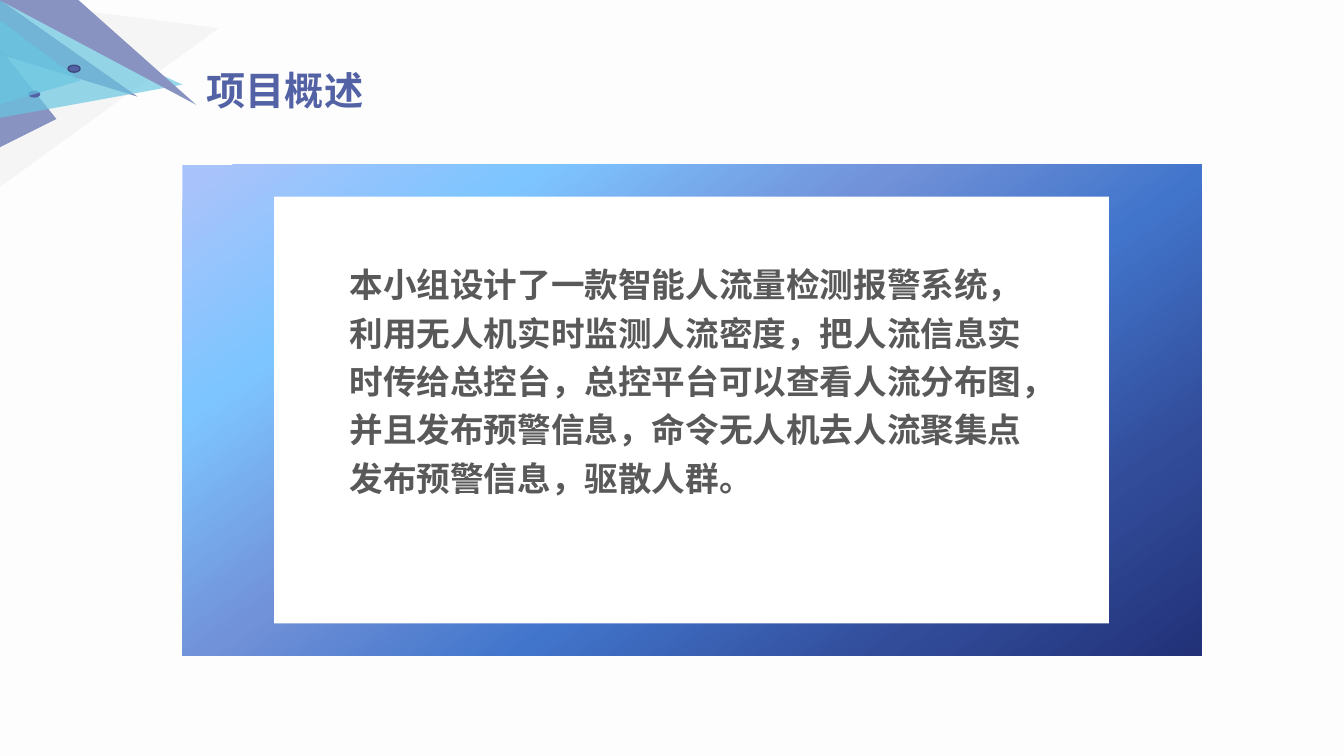
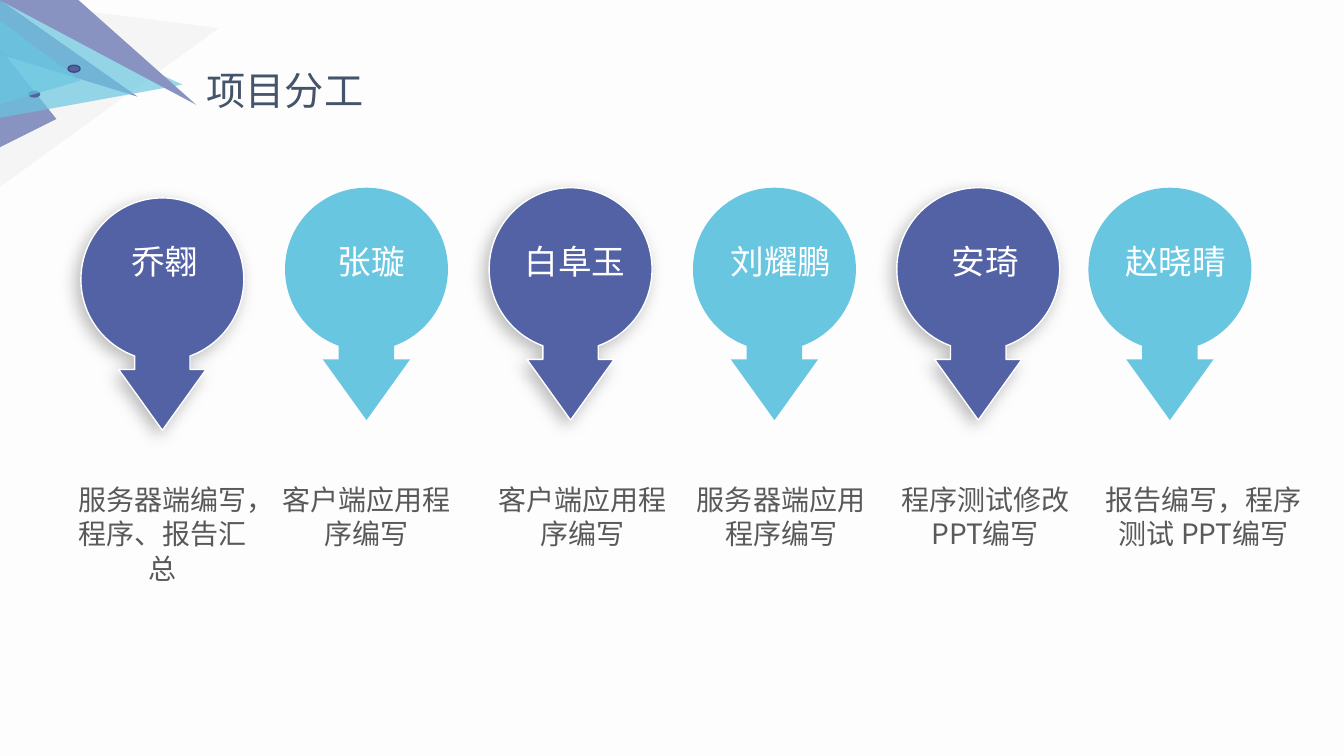
from dataclasses import dataclass
from math import acos, cos, degrees, radians, sin, tan
from typing import Sequence

from lxml.etree import Element, SubElement
from pptx import Presentation
from pptx.dml.color import RGBColor
from pptx.enum.shapes import MSO_SHAPE
from pptx.enum.text import MSO_ANCHOR, MSO_AUTO_SIZE, PP_ALIGN
from pptx.oxml import parse_xml
from pptx.oxml.ns import nsdecls, qn
from pptx.util import Pt

FONT = "Noto Sans CJK SC"
INDIGO, SKY, LAVENDER = "5362A5", "69C6E1", "8893C1"
WHITE, PALE, PAPER = "FFFFFF", "F2F2F2", "FDFDFD"
GREY, SLATE, NAVY = "595959", "44546A", "3D497A"
FRAME_STOPS = [(2, "A8C3FB"), (21, "7DC5FF"), (42, "7191D8"),
               (60, "4175CB"), (81, "324C9A"), (100, "223178")]

Point = tuple[float, float]


@dataclass(frozen=True)
class Box:
    left: float
    top: float
    width: float
    height: float

    def lengths(self) -> list[Pt]:
        return [Pt(value) for value in (self.left, self.top, self.width, self.height)]


@dataclass(frozen=True)
class TextStyle:
    size: float
    colour: str
    line: float
    align: PP_ALIGN = PP_ALIGN.LEFT
    bold: bool = False


@dataclass(frozen=True)
class Triangle:
    points: Sequence[Point]
    colour: str
    opacity: int = 100


@dataclass(frozen=True)
class Member:
    name: str
    duty: Sequence[str]
    pin_x: float
    name_x: float
    duty_left: float
    duty_width: float = 137.5
    duty_height: float = 55.4
    pin_y: float = 192.3


TITLE_BOX = Box(140.4, 43.9, 242.6, 41)
BODY_STYLE = TextStyle(24, GREY, 34.6, bold=True)
NAME_STYLE = TextStyle(24, WHITE, 29, PP_ALIGN.CENTER)
DUTY_STYLE = TextStyle(20, GREY, 24.4, PP_ALIGN.CENTER)

BACK_TRIANGLES = [
    Triangle([(-0.5, 133.9), (-0.5, 0), (156.2, 20.2)], PALE, 69),
    Triangle([(0, 105.1), (0, 34.6), (40.3, 85)], LAVENDER),
    Triangle([(0, 38.9), (0, 0), (98.4, 69.1)], INDIGO, 69),
    Triangle([(0, 84.2), (0, 0), (130.3, 60.5)], SKY, 69),
    Triangle([(56, 0), (-0.5, 0), (140.2, 74.9)], LAVENDER),
]
FRONT_TRIANGLE = Triangle([(0, 74.5), (0, 14.4), (57.6, 57.6)], SKY, 69)

MEMBERS = [
    Member("乔翱", ["服务器端编写，程序、报告汇总"], 116, 117.7, 47.2,
           duty_height=79.9, pin_y=199.6),
    Member("张璇", ["客户端应用程序编写"], 261.8, 265.3, 193),
    Member("白阜玉", ["客户端应用程序编写"], 407.6, 410.7, 347.4),
    Member("刘耀鹏", ["服务器端应用程序编写"], 553.2, 558, 489.2),
    Member("安琦", ["程序测试修改", "PPT编写"], 698.8, 703.8, 635),
    Member("赵晓晴", ["报告编写，程序测试 PPT编写"], 835.7, 839.9, 777.4, 164.9),
]


def colour_of(value: str) -> RGBColor:
    return RGBColor.from_string(value)


def paint(shape, fill: str, opacity: int = 100, line: str | None = None) -> None:
    shape.shadow.inherit = False
    shape.fill.solid()
    shape.fill.fore_color.rgb = colour_of(fill)
    if opacity < 100:
        colour = shape.fill._xPr.find(qn("a:solidFill"))[0]
        SubElement(colour, qn("a:alpha"), val=str(opacity * 1000))
    if line:
        shape.line.color.rgb = colour_of(line)
        shape.line.width = Pt(1)
    else:
        shape.line.fill.background()


def add_polygon(slide, points: Sequence[Point]):
    corners = [(Pt(x), Pt(y)) for x, y in points]
    builder = slide.shapes.build_freeform(*corners[0], scale=1.0)
    builder.add_line_segments(corners[1:], close=True)
    return builder.convert_to_shape()


def add_triangle(slide, triangle: Triangle) -> None:
    paint(add_polygon(slide, triangle.points), triangle.colour, triangle.opacity)


def add_block(slide, kind: MSO_SHAPE, box: Box, fill: str, line: str | None = None):
    shape = slide.shapes.add_shape(kind, *box.lengths())
    paint(shape, fill, line=line)
    return shape


def write(shape, lines: Sequence[str], style: TextStyle, wrap: bool = True) -> None:
    frame = shape.text_frame
    frame.word_wrap = wrap
    frame.auto_size = MSO_AUTO_SIZE.NONE
    frame.vertical_anchor = MSO_ANCHOR.TOP
    frame.text = "\n".join(lines)
    for paragraph in frame.paragraphs:
        paragraph.alignment = style.align
        paragraph.line_spacing = Pt(style.line)
        font = paragraph.font
        font.name, font.size, font.bold = FONT, Pt(style.size), style.bold
        font.color.rgb = colour_of(style.colour)
        for run in paragraph.runs:
            SubElement(run._r.get_or_add_rPr(), qn("a:ea"), typeface=FONT)


def add_text(slide, box: Box, lines: Sequence[str], style: TextStyle,
             wrap: bool = True) -> None:
    write(slide.shapes.add_textbox(*box.lengths()), lines, style, wrap)


def add_titled_slide(presentation, title: str, colour: str, bold: bool = False):
    slide = presentation.slides.add_slide(presentation.slide_layouts[5])
    # Corner decoration
    for triangle in BACK_TRIANGLES:
        add_triangle(slide, triangle)
    add_block(slide, MSO_SHAPE.OVAL, Box(48.6, 46.6, 8.6, 5), INDIGO, NAVY)
    add_block(slide, MSO_SHAPE.OVAL, Box(20.2, 64.8, 8.6, 5), INDIGO)
    add_triangle(slide, FRONT_TRIANGLE)
    # Title
    shape = slide.shapes.title
    shape.left, shape.top, shape.width, shape.height = TITLE_BOX.lengths()
    write(shape, [title], TextStyle(28, colour, 33.6, bold=bold))
    return slide


def apply_gradient(shape, stops: Sequence[tuple[int, str]], angle: int) -> None:
    marks = "".join(f'<a:gs pos="{place * 1000}"><a:srgbClr val="{colour}"/></a:gs>'
                    for place, colour in stops)
    gradient = parse_xml(f'<a:gradFill {nsdecls("a")} rotWithShape="1">'
                         f'<a:gsLst>{marks}</a:gsLst>'
                         f'<a:lin ang="{angle * 60000}" scaled="0"/></a:gradFill>')
    solid = shape.fill._xPr.find(qn("a:solidFill"))
    solid.getparent().replace(solid, gradient)


def add_drop_shadow(shape) -> None:
    effects = shape._element.spPr.find(qn("a:effectLst"))
    shadow = SubElement(effects, qn("a:outerShdw"), blurRad=str(Pt(12)),
                        dist=str(Pt(5)), dir=str(135 * 60000),
                        algn="tr", rotWithShape="0")
    colour = SubElement(shadow, qn("a:srgbClr"), val="000000")
    SubElement(colour, qn("a:alpha"), val="26000")


def arc_controls(radius: float, start: float, end: float) -> list[Point]:
    """Control points and end of a cubic curve along a circle."""
    first, last = radians(start), radians(end)
    reach = 4 / 3 * tan((last - first) / 4)
    return [(radius * (cos(first) - reach * sin(first)),
             radius * (sin(first) + reach * cos(first))),
            (radius * (cos(last) + reach * sin(last)),
             radius * (sin(last) - reach * cos(last))),
            (radius * cos(last), radius * sin(last))]


def add_pin(slide, center_x: float, center_y: float):
    """A disc that opens at the bottom into a downward arrow."""
    radius, neck, head, shoulder, tip = 58.2, 19.8, 31.2, 64.4, 107.8
    opening = degrees(acos(neck / radius))
    neck_top = radius * sin(radians(opening))
    arrow = [(-neck, neck_top), (-neck, shoulder), (-head, shoulder), (0, tip),
             (head, shoulder), (neck, shoulder), (neck, neck_top)]
    outline = [(radius, 0), (0, -radius), (-radius, 0), *arrow, (radius, 0)]
    pin = add_polygon(slide, [(center_x + x, center_y + y) for x, y in outline])
    # Round the sides that belong to the disc
    arcs = {1: (0, -90), 2: (-90, -180), 3: (-180, opening - 360 + 180 - 2 * opening),
            10: (opening, 0)}
    commands = list(next(pin._element.iter(qn("a:path"))))
    for index, (start, end) in arcs.items():
        curve = Element(qn("a:cubicBezTo"))
        for x, y in arc_controls(radius, start, end):
            SubElement(curve, qn("a:pt"), x=str(Pt(center_x + x) - pin.left),
                       y=str(Pt(center_y + y) - pin.top))
        commands[index].getparent().replace(commands[index], curve)
    return pin


def add_member(slide, member: Member, dark: bool) -> None:
    pin = add_pin(slide, member.pin_x, member.pin_y)
    paint(pin, INDIGO if dark else SKY, line=WHITE if dark else None)
    if dark:
        add_drop_shadow(pin)
    name_width = 14.4 + NAME_STYLE.size * len(member.name)
    add_text(slide, Box(member.name_x - name_width / 2, 168.7, name_width, 36),
             [member.name], NAME_STYLE, wrap=False)
    add_text(slide, Box(member.duty_left, 340.8, member.duty_width, member.duty_height),
             member.duty, DUTY_STYLE)


def build_overview(presentation) -> None:
    slide = add_titled_slide(presentation, "项目概述", INDIGO, bold=True)
    # Gradient frame with a white panel
    frame = add_block(slide, MSO_SHAPE.RECTANGLE, Box(130.3, 117.8, 728, 350.8), INDIGO)
    apply_gradient(frame, FRAME_STOPS, 55)
    add_block(slide, MSO_SHAPE.RECTANGLE, Box(195.9, 140.5, 596.3, 304.8), WHITE)
    add_text(slide, Box(242.6, 179.2, 502.6, 181.4),
             ["本小组设计了一款智能人流量检测报警系统，利用无人机实时监测人流密度，"
              "把人流信息实时传给总控台，总控平台可以查看人流分布图，并且发布预警信息，"
              "命令无人机去人流聚集点发布预警信息，驱散人群。"], BODY_STYLE)


def build_team(presentation) -> None:
    slide = add_titled_slide(presentation, "项目分工", SLATE)
    # Pins alternate dark and light
    for index, member in enumerate(MEMBERS):
        add_member(slide, member, dark=index % 2 == 0)


def main() -> None:
    presentation = Presentation()
    presentation.slide_width, presentation.slide_height = Pt(960), Pt(540)
    background = presentation.slide_master.background.fill
    background.solid()
    background.fore_color.rgb = colour_of(PAPER)
    build_overview(presentation)
    build_team(presentation)
    presentation.save("out.pptx")


if __name__ == "__main__":
    main()
